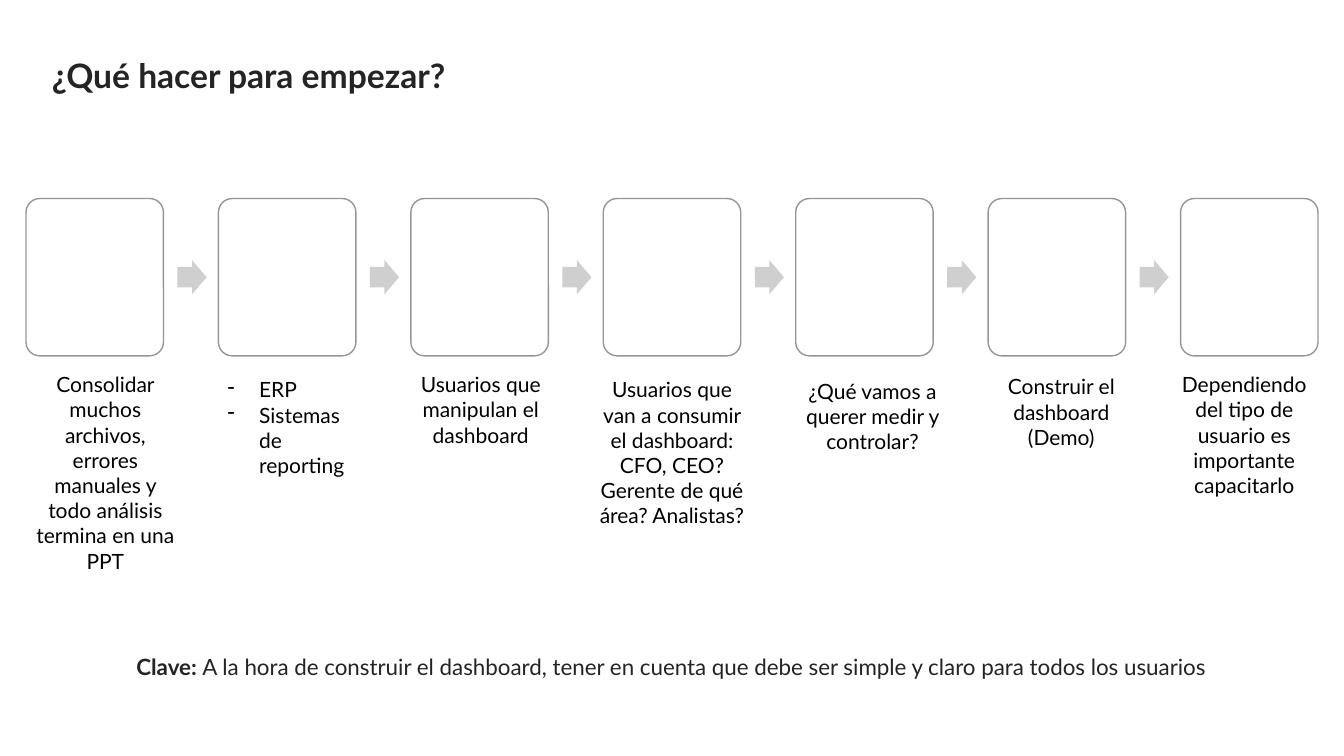
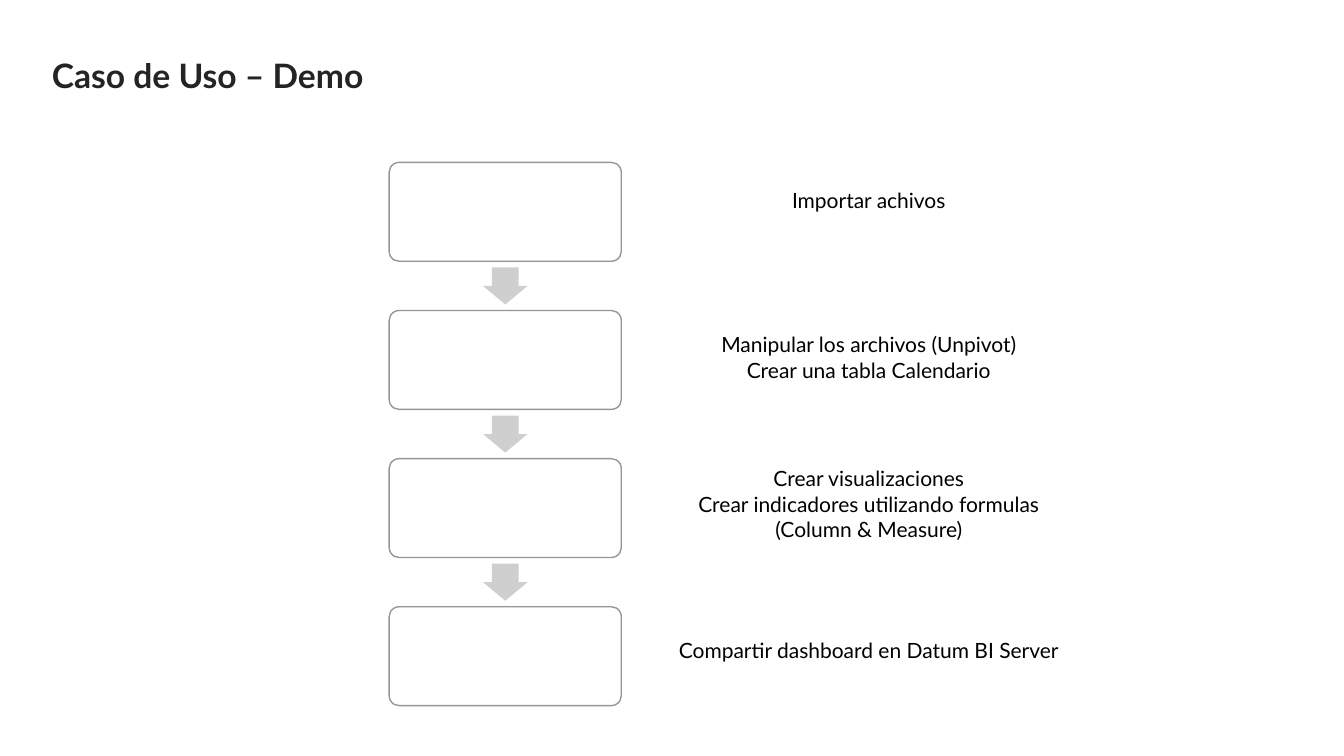
from lxml import etree
from pptx import Presentation
from pptx.dml.color import RGBColor
from pptx.enum.shapes import MSO_SHAPE
from pptx.enum.text import MSO_AUTO_SIZE, PP_ALIGN
from pptx.oxml.ns import qn
from pptx.util import Pt

# Style constants
INK = RGBColor(0x25, 0x24, 0x23)
BLACK = RGBColor(0x00, 0x00, 0x00)
WHITE = RGBColor(0xFF, 0xFF, 0xFF)
OUTLINE = RGBColor(0x96, 0x96, 0x96)
ARROW_GREY = RGBColor(0xCF, 0xCF, 0xCF)
ROUNDED, ARROW = MSO_SHAPE.ROUNDED_RECTANGLE, MSO_SHAPE.RIGHT_ARROW
LEFT, CENTER = PP_ALIGN.LEFT, PP_ALIGN.CENTER
FIT_SHAPE = MSO_AUTO_SIZE.SHAPE_TO_FIT_TEXT

FONT = "Lato"
TITLE = {"size": Pt(24), "bold": True}
CAPTION = {"size": Pt(15), "bold": False}
KEY_LABEL = {"size": Pt(16), "bold": True}
KEY_TEXT = {"size": Pt(16), "bold": False}
DASH_INDENT = Pt(22.5)


class Deck:
    """Holds the presentation, its style and the current slide."""

    def __init__(self):
        self.prs = Presentation()
        self.prs.slide_width, self.prs.slide_height = Pt(960), Pt(540)
        self.slide = None

    def new_slide(self, title):
        self.slide = self.prs.slides.add_slide(self.prs.slide_layouts[6])
        self.text(30, 36, 740, 36, [[(title, TITLE)]], INK, LEFT)

    def text(self, left, top, width, height, paragraphs, color=BLACK,
             align=CENTER, dashes=False):
        """Each paragraph is a list of (wording, format) runs."""
        box = self.slide.shapes.add_textbox(Pt(left), Pt(top), Pt(width), Pt(height))
        frame = box.text_frame
        frame.word_wrap = True
        frame.auto_size = FIT_SHAPE
        for i, runs in enumerate(paragraphs):
            para = frame.add_paragraph() if i else frame.paragraphs[0]
            para.alignment = align
            if dashes:
                self.dash(para)
            for wording, style in runs:
                run = para.add_run()
                run.text = wording
                run.font.color.rgb = color
                for name, value in {"name": FONT, **style}.items():
                    setattr(run.font, name, value)

    def dash(self, para):
        props = para._p.get_or_add_pPr()
        props.set("marL", str(DASH_INDENT))
        props.set("indent", str(-DASH_INDENT))
        etree.SubElement(props, qn("a:buChar")).set("char", "-")

    def caption(self, left, top, width, lines, *paragraphs, **options):
        """Caption whose height follows from its number of lines."""
        runs = [[(wording, CAPTION)] for wording in paragraphs]
        self.text(left, top, width, 7.2 + 18 * lines, runs, **options)

    def shape(self, kind, left, top, width, height, fill, adjustments):
        shape = self.slide.shapes.add_shape(
            kind, Pt(left), Pt(top), Pt(width), Pt(height))
        shape.shadow.inherit = False
        shape.fill.solid()
        shape.fill.fore_color.rgb = fill
        shape.line.fill.background()
        for i, value in enumerate(adjustments):
            shape.adjustments[i] = value
        return shape

    def step(self, left, top, width, height):
        box = self.shape(ROUNDED, left, top, width, height, WHITE, [0.1])
        box.line.color.rgb = OUTLINE
        box.line.width = Pt(1)

    def arrow(self, center_x, center_y, length, breadth, rotation):
        arrow = self.shape(ARROW, center_x - length / 2, center_y - breadth / 2,
                           length, breadth, ARROW_GREY, [0.6, 0.5])
        arrow.rotation = rotation

    def flow(self, count, left, top, width, height, pitch, lead, length, breadth,
             down=False):
        """Equal steps; each arrow starts `lead` after the step before it."""
        for i in range(count):
            x = left + (0 if down else i * pitch)
            y = top + (i * pitch if down else 0)
            self.step(x, y, width, height)
            if i == count - 1:
                break
            ahead = lead + length / 2
            if down:
                self.arrow(x + width / 2, y + height + ahead, length, breadth, 90)
            else:
                self.arrow(x + width + ahead, y + height / 2, length, breadth, 0)


def starting_steps(deck):
    deck.new_slide("¿Qué hacer para empezar?")

    # Row of seven steps
    deck.flow(7, left=18.6, top=141.8, width=98.2, height=112.4, pitch=137.45,
              lead=10, length=20.8, breadth=24.4)

    # Captions below the steps
    deck.caption(18, 262, 114.5, 8, "Consolidar muchos archivos, errores manuales "
                 "y todo análisis termina en una PPT")
    deck.caption(155.5, 265.7, 102.2, 4, "ERP", "Sistemas de reporting",
                 align=LEFT, dashes=True)
    deck.caption(292.3, 262, 102.2, 3, "Usuarios que manipulan el dashboard")
    deck.caption(417, 265.7, 126, 6, "Usuarios que van a consumir el dashboard:",
                 "CFO, CEO? Gerente de qué área? Analistas?")
    deck.caption(566, 266.5, 114.5, 3, "¿Qué vamos a querer medir y controlar?")
    deck.caption(710.6, 263.5, 95, 3, "Construir el dashboard (Demo)")
    deck.caption(833, 262, 111.6, 5,
                 "Dependiendo del tipo de usuario es importante capacitarlo")

    # Key message
    deck.text(30, 463, 899.3, 26.6, [[
        ("Clave: ", KEY_LABEL),
        ("A la hora de construir el dashboard, tener en cuenta que debe ser "
         "simple y claro para todos los usuarios", KEY_TEXT)]], INK)


def demo_case(deck):
    deck.new_slide("Caso de Uso – Demo")

    # Column of four steps
    deck.flow(4, left=278, top=116, width=165.8, height=70.6, pitch=105.8,
              lead=4.4, length=26.5, breadth=31.8, down=True)

    # Captions beside the steps
    for top, lines, paragraphs in [
        (130.3, 1, ["Importar achivos"]),
        (233.5, 2, ["Manipular los archivos (Unpivot)", "Crear una tabla Calendario"]),
        (329.2, 3, ["Crear visualizaciones",
                    "Crear indicadores utilizando formulas (Column & Measure)"]),
        (451.5, 1, ["Compartir dashboard en Datum BI Server"]),
    ]:
        deck.caption(472.3, top, 296.6, lines, *paragraphs)


def main():
    deck = Deck()
    starting_steps(deck)
    demo_case(deck)
    deck.prs.save("out.pptx")


if __name__ == "__main__":
    main()
